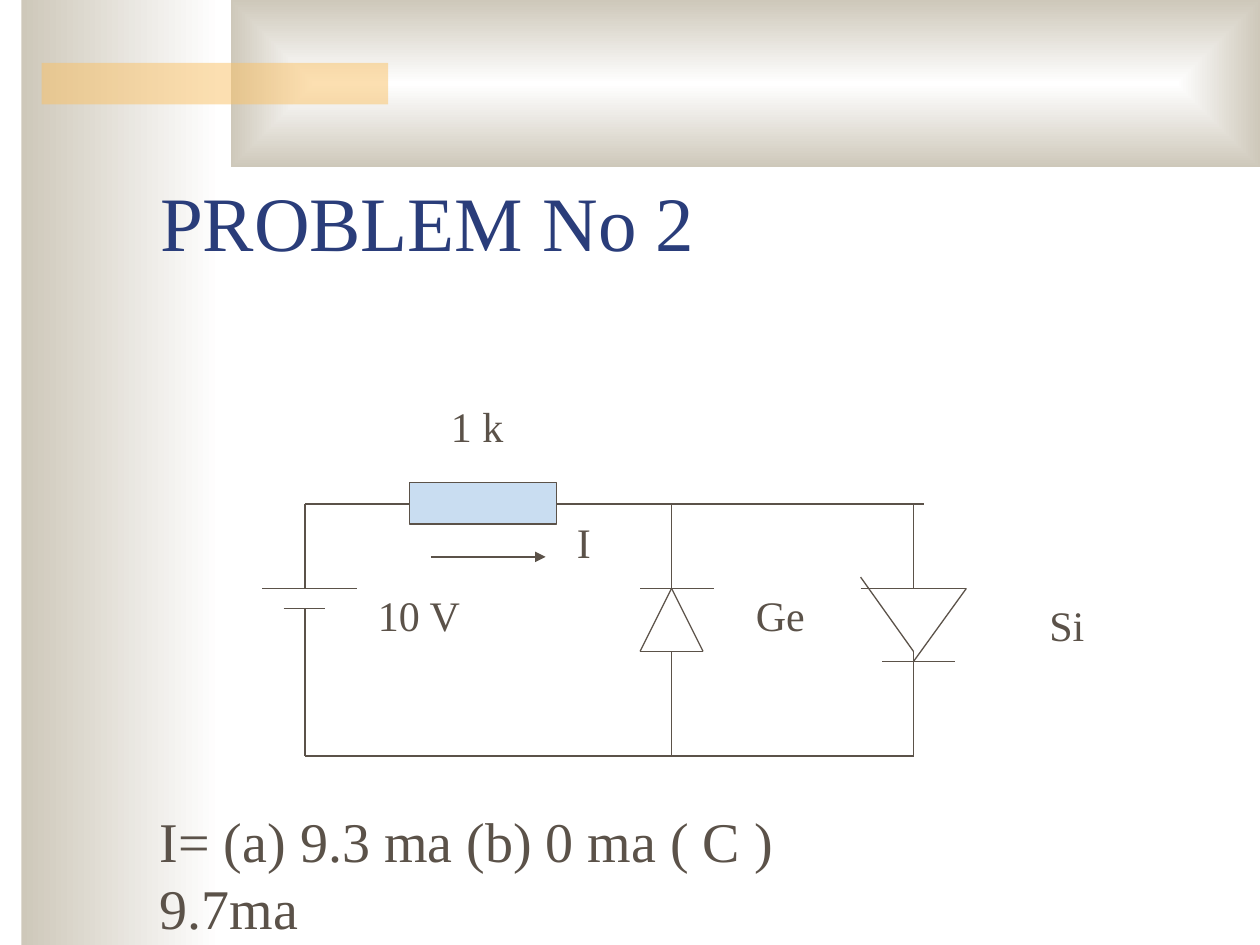
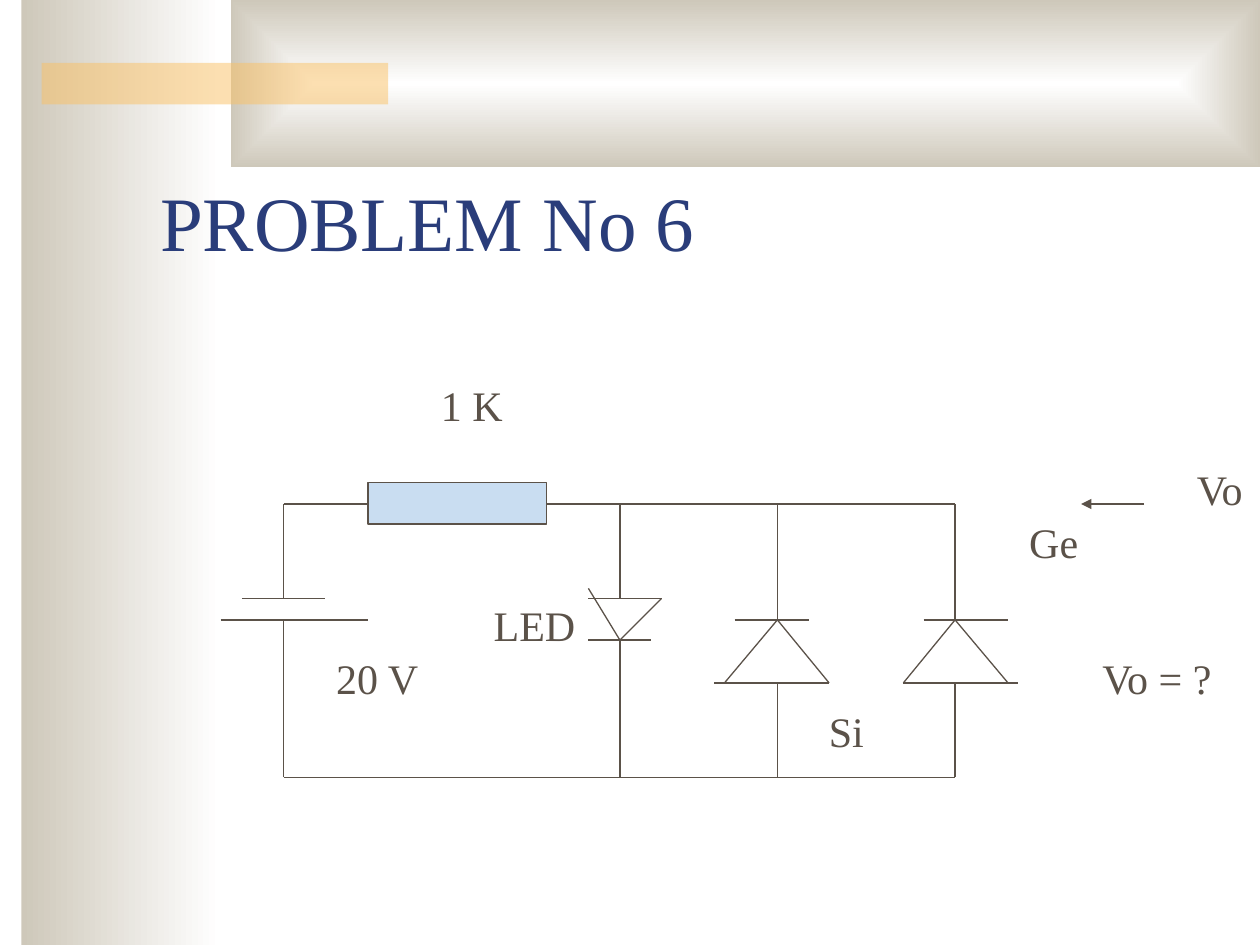
"""Build two diode circuit problems on a shared beige layout."""
from itertools import pairwise

from lxml import etree
from pptx import Presentation
from pptx.dml.color import RGBColor
from pptx.enum.shapes import MSO_CONNECTOR, MSO_SHAPE
from pptx.enum.text import MSO_ANCHOR, MSO_AUTO_SIZE, PP_ALIGN
from pptx.oxml.ns import qn
from pptx.util import Inches, Pt

RECT, LINE = MSO_SHAPE.RECTANGLE, MSO_CONNECTOR.STRAIGHT
LOW, LEFT = MSO_ANCHOR.BOTTOM, PP_ALIGN.LEFT
GROW = MSO_AUTO_SIZE.SHAPE_TO_FIT_TEXT

FONT = "Times New Roman"
NAVY, INK, SKY = "2A3D7A", "5B5249", "C9DDF1"
SAND, GOLD, WHITE = "CEC8BA", "FAC164", "FFFFFF"
RAIL = 4
SIDE = (0.17, 0, 1.58, 7.5)
BAND = (1.83, 0, 8.17, 1.33)
BAR = (0.33, 0.5, 2.75, 0.33)
TITLE = (1.17, 0.92, 8.5, 1.25)

# Branch: x, upper plate (y, left, right), lower plate, outline points
# Label: text, left, top, width, size
SLIDES = [
    {
        "title": "PROBLEM No 2",
        "base": 6,
        "end": 7.33,
        "load": (3.25, 1.17),
        "parts": [
            (2.42, (4.67, 2.08, 2.83), (4.83, 2.25, 2.58), []),
            (5.33, (4.67, 5.08, 5.67), (5.17, 5.08, 5.58),
             [(5.08, 5.17), (5.33, 4.67), (5.58, 5.17)]),
            (7.25, (4.67, 6.83, 7.67), (5.25, 7, 7.58),
             [(6.83, 4.58), (7.25, 5.17), (7.25, 5.25), (7.67, 4.67)]),
        ],
        "arrow": ((3.42, 4.42), (4.33, 4.42)),
        "labels": [
            ("1 k", 3.48, 3.13, 0.62, 24),
            ("I", 4.48, 4.05, 0.31, 24),
            ("10 V", 2.9, 4.63, 0.86, 24),
            ("Ge", 5.9, 4.63, 0.59, 24),
            ("Si", 8.23, 4.71, 0.48, 24),
            ("I= (a) 9.3 ma (b) 0 ma ( C ) 9.7ma", 1.17, 6.35, 6.27, 32),
        ],
    },
    {
        "title": "PROBLEM No 6",
        "base": 6.17,
        "end": 7.58,
        "load": (2.92, 1.42),
        "parts": [
            (2.25, (4.75, 1.92, 2.58), (4.92, 1.75, 2.92), []),
            (4.92, (4.75, 4.67, 5.25), (5.08, 4.67, 5.17),
             [(4.67, 4.67), (4.92, 5.08), (5.25, 4.75)]),
            (6.17, (4.92, 5.83, 6.42), (5.42, 5.67, 6.58),
             [(5.75, 5.42), (6.17, 4.92), (6.58, 5.42)]),
            (7.58, (4.92, 7.33, 8), (5.42, 7.17, 8.08),
             [(7.17, 5.42), (7.58, 4.92), (8, 5.42)]),
        ],
        "arrow": ((9.08, 4), (8.58, 4)),
        "labels": [
            ("1 K", 3.4, 2.96, 0.69, 24),
            ("LED", 3.82, 4.71, 0.85, 24),
            ("20 V", 2.57, 5.13, 0.86, 24),
            ("Si", 6.48, 5.55, 0.48, 24),
            ("Ge", 8.07, 4.05, 0.59, 24),
            ("Vo", 9.4, 3.63, 0.61, 24),
            ("Vo = ?", 8.65, 5.13, 1.1, 24),
        ],
    },
]


def tone(code):
    return RGBColor.from_string(code)


def inch(box):
    return [Inches(n) for n in box]


def block(slide, box, fill=None, line=None):
    shape = slide.shapes.add_shape(RECT, *inch(box))
    shape.shadow.inherit = False
    if fill:
        shape.fill.solid()
        shape.fill.fore_color.rgb = tone(fill)
    if line:
        shape.line.color.rgb = tone(line)
        shape.line.width = Pt(0.75)
    else:
        shape.line.fill.background()
    return shape


def fade(slide, box, first, last):
    shape = block(slide, box)
    shape.fill.gradient()
    shape.fill.gradient_angle = 0
    for stop, code in zip(shape.fill.gradient_stops, (first, last)):
        stop.color.rgb = tone(code)
    return shape


def decor(slide):
    side = fade(slide, SIDE, SAND, WHITE)
    band = fade(slide, BAND, WHITE, SAND)
    lin = band._element.find(".//" + qn("a:lin"))
    ring = etree.Element(qn("a:path"), path="rect")
    half = {edge: "50000" for edge in "ltrb"}
    etree.SubElement(ring, qn("a:fillToRect"), **half)
    lin.getparent().replace(lin, ring)
    bar = block(slide, BAR, GOLD)
    hue = bar._element.find(".//" + qn("a:srgbClr"))
    etree.SubElement(hue, qn("a:alpha"), val="50000")
    tree = slide.slide_layout.shapes._spTree
    for spot, shape in enumerate((side, band, bar), 2):
        tree.insert(spot, shape._element)


def wire(slide, start, end, head=False):
    link = slide.shapes.add_connector(LINE, *inch(start + end))
    link.line.color.rgb = tone(INK)
    link.line.width = Pt(0.75)
    if head:
        stroke = link.line._get_or_add_ln()
        etree.SubElement(stroke, qn("a:tailEnd"), type="triangle")
    etree.SubElement(link._element.spPr, qn("a:effectLst"))


def write(frame, text, size, code):
    para = frame.paragraphs[0]
    para.alignment = LEFT
    run = para.add_run()
    run.text = text
    run.font.name = FONT
    run.font.size = Pt(size)
    run.font.color.rgb = tone(code)


def head(slide, text):
    title = slide.shapes.title
    title.left, title.top, title.width, title.height = inch(TITLE)
    title.text_frame.vertical_anchor = LOW
    write(title.text_frame, text, 44, NAVY)


def label(slide, text, left, top, width, size):
    tall = 0.1 + size / 60
    box = slide.shapes.add_textbox(*inch((left, top, width, tall)))
    box.text_frame.word_wrap = False
    box.text_frame.auto_size = GROW
    write(box.text_frame, text, size, INK)


def draw(slide, data):
    base, parts = data["base"], data["parts"]
    left, wide = data["load"]
    first, last = parts[0][0], parts[-1][0]
    wire(slide, (first, RAIL), (left, RAIL))
    wire(slide, (left + wide, RAIL), (data["end"], RAIL))
    wire(slide, (first, base), (last, base))
    for x, upper, lower, points in parts:
        wire(slide, (x, RAIL), (x, upper[0]))
        wire(slide, (x, lower[0]), (x, base))
        for y, start, end in (upper, lower):
            wire(slide, (start, y), (end, y))
        for start, end in pairwise(points):
            wire(slide, start, end)
    block(slide, (left, RAIL - 0.17, wide, 0.33), SKY, INK)
    wire(slide, *data["arrow"], head=True)
    for item in data["labels"]:
        label(slide, *item)


def main():
    deck = Presentation()
    deck.slide_width, deck.slide_height = inch((10, 7.5))
    layout = deck.slide_layouts[5]
    for spot, data in enumerate(SLIDES):
        slide = deck.slides.add_slide(layout)
        if spot == 0:
            decor(slide)
        head(slide, data["title"])
        draw(slide, data)
    deck.save("out.pptx")


if __name__ == "__main__":
    main()
